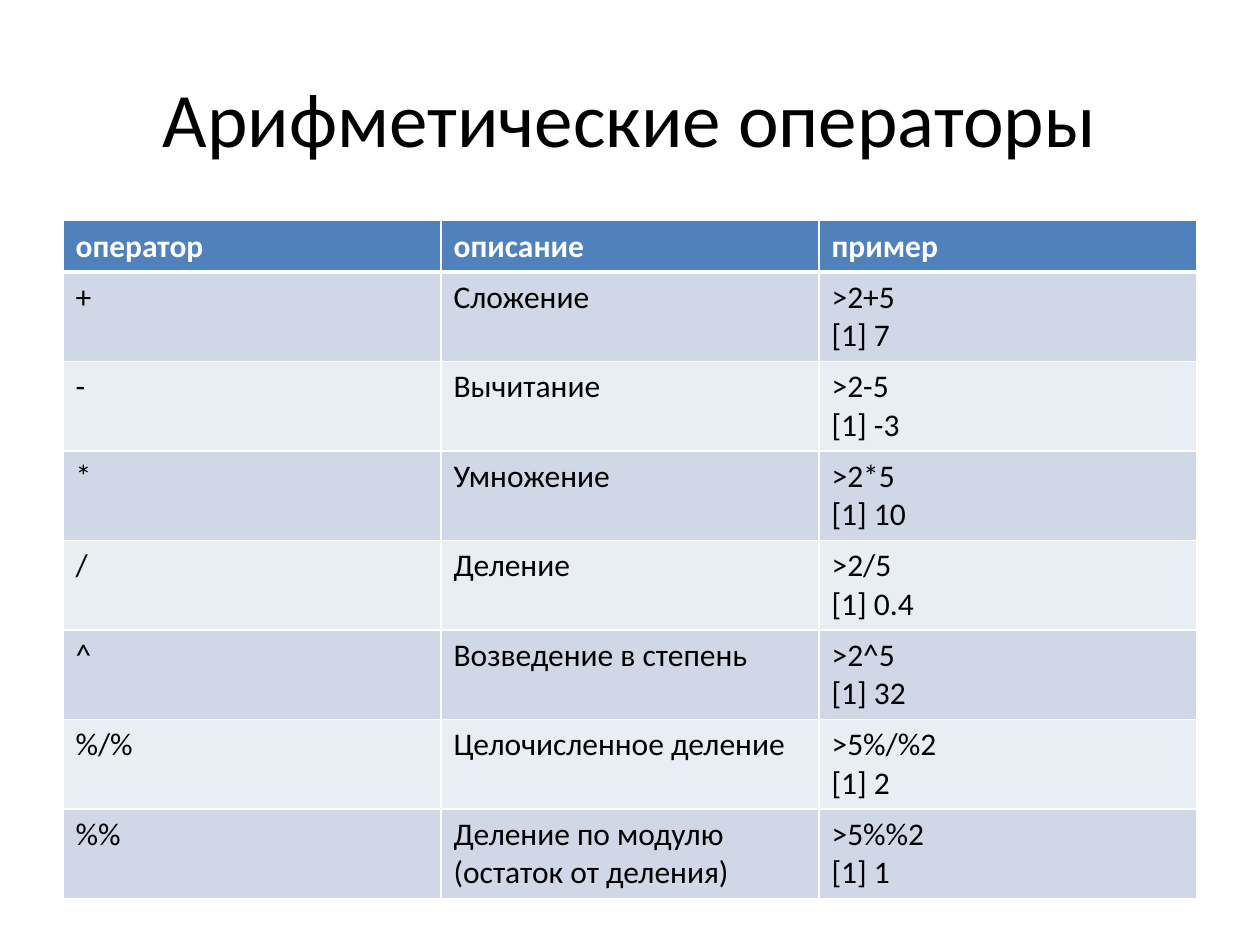
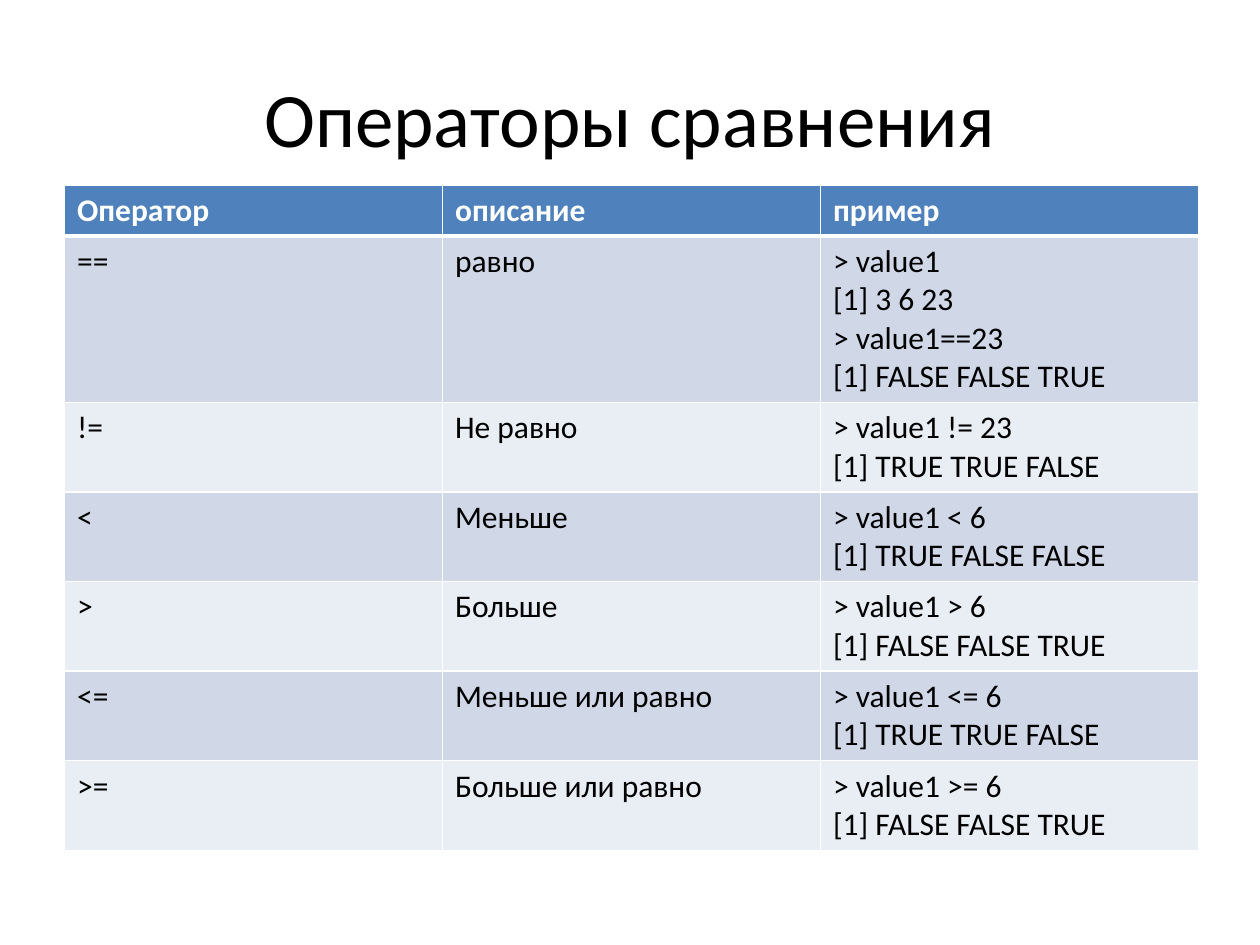
import lxml.etree
import pptx
import pptx.dml.color
import pptx.enum.text
import pptx.oxml.ns
import pptx.util

Cm = pptx.util.Cm
Pt = pptx.util.Pt

FONT = "Calibri"
COLOURS = {
    "title": "000000",
    "header": "4F81BD",
    "header_text": "FFFFFF",
    "odd_row": "D0D8E8",
    "even_row": "E9EDF4",
    "body_text": "000000",
    "border": "FFFFFF",
}
TITLE_BOX = (Cm(1.27), Cm(0.76), Cm(22.86), Cm(3.18))
TABLE_WIDTH = Cm(22.86)
ROW_HEIGHT = Cm(1.03)

ARITHMETIC = [
    ("оператор", "описание", "пример"),
    ("+", "Сложение", ">2+5\n[1] 7"),
    ("-", "Вычитание", ">2-5\n[1] -3"),
    ("*", "Умножение", ">2*5\n[1] 10"),
    ("/", "Деление", ">2/5\n[1] 0.4"),
    ("^", "Возведение в степень", ">2^5\n[1] 32"),
    ("%/%", "Целочисленное деление", ">5%/%2\n[1] 2"),
    ("%%", "Деление по модулю (остаток от деления)", ">5%%2\n[1] 1"),
]
COMPARISON = [
    ("Оператор", "описание", "пример"),
    ("==", "равно", "> value1\n[1] 3 6 23\n> value1==23\n[1] FALSE FALSE TRUE"),
    ("!=", "Не равно", "> value1 != 23\n[1] TRUE TRUE FALSE"),
    ("<", "Меньше", "> value1 < 6\n[1] TRUE FALSE FALSE"),
    (">", "Больше", "> value1 > 6\n[1] FALSE FALSE TRUE"),
    ("<=", "Меньше или равно", "> value1 <= 6\n[1] TRUE TRUE FALSE"),
    (">=", "Больше или равно", "> value1 >= 6\n[1] FALSE FALSE TRUE"),
]


def colour(name):
    """Return the named colour of the palette."""
    return pptx.dml.color.RGBColor.from_string(COLOURS[name])


def format_text(frame, size, colour_name, bold=False):
    """Format every run of a text frame."""
    for para in frame.paragraphs:
        for span in para.runs:
            span.font.name = FONT
            span.font.size = Pt(size)
            span.font.bold = bold
            span.font.color.rgb = colour(colour_name)


def add_title(page, text, box):
    """Place the centred title in its box."""
    title = page.shapes.title
    title.left, title.top, title.width, title.height = box
    frame = title.text_frame
    frame.text = text
    frame.vertical_anchor = pptx.enum.text.MSO_ANCHOR.MIDDLE
    frame.paragraphs[0].alignment = pptx.enum.text.PP_ALIGN.CENTER
    format_text(frame, 44, "title")


def set_borders(cell, top, bottom):
    """Draw the cell borders, with top and bottom widths in points."""
    qn = pptx.oxml.ns.qn
    properties = cell._tc.get_or_add_tcPr()
    for side, width in (("L", 1), ("R", 1), ("T", top), ("B", bottom)):
        line = lxml.etree.SubElement(properties, qn(f"a:ln{side}"), w=str(Pt(width)))
        fill = lxml.etree.SubElement(line, qn("a:solidFill"))
        lxml.etree.SubElement(fill, qn("a:srgbClr"), val=COLOURS["border"])


def style_cell(cell, row):
    """Colour a cell by its row: a header, then alternating bands."""
    header = row == 0
    set_borders(cell, 3 if row == 1 else 1, 3 if header else 1)
    cell.fill.solid()
    band = "odd_row" if row % 2 else "even_row"
    cell.fill.fore_color.rgb = colour("header" if header else band)
    format_text(cell.text_frame, 18, "header_text" if header else "body_text", header)


def add_operator_table(page, rows, left, top):
    """Add a table of operators with equal columns."""
    frame = page.shapes.add_table(
        len(rows), len(rows[0]), left, top, TABLE_WIDTH, ROW_HEIGHT * len(rows)
    )
    for row, texts in enumerate(rows):
        for column, text in enumerate(texts):
            cell = frame.table.cell(row, column)
            cell.text_frame.text = text
            style_cell(cell, row)


def add_operator_page(deck, title, rows, left, top):
    """Add a slide with a title and a table of operators."""
    page = deck.slides.add_slide(deck.slide_layouts.get_by_name("Title Only"))
    add_title(page, title, TITLE_BOX)
    add_operator_table(page, rows, left, top)


def main():
    """Build and save the deck."""
    deck = pptx.Presentation()
    deck.slide_width, deck.slide_height = Cm(25.4), Cm(19.05)
    add_operator_page(deck, "Арифметические операторы", ARITHMETIC, Cm(1.27), Cm(4.45))
    add_operator_page(deck, "Операторы сравнения", COMPARISON, Cm(1.3), Cm(3.73))
    deck.save("out.pptx")


if __name__ == "__main__":
    main()
